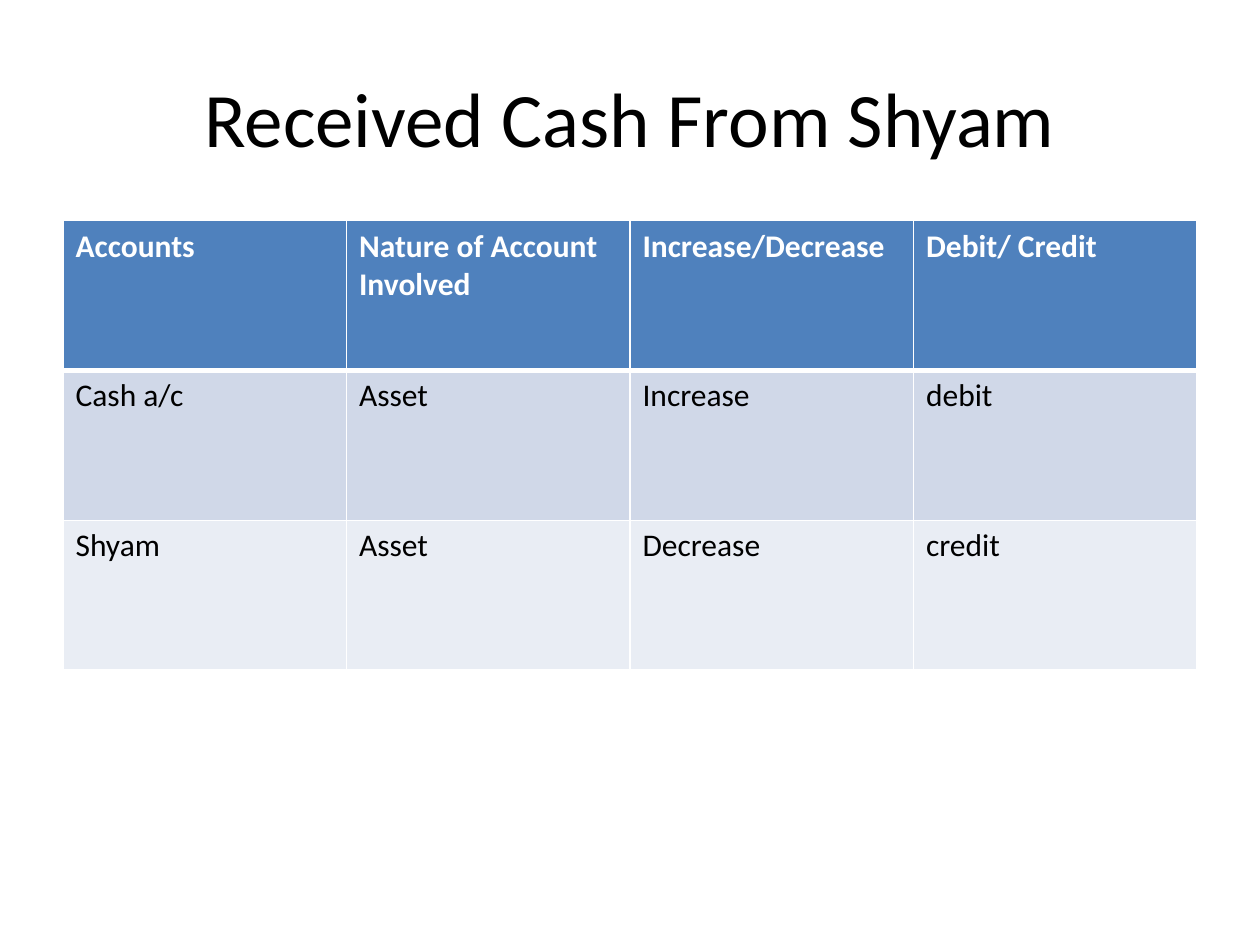
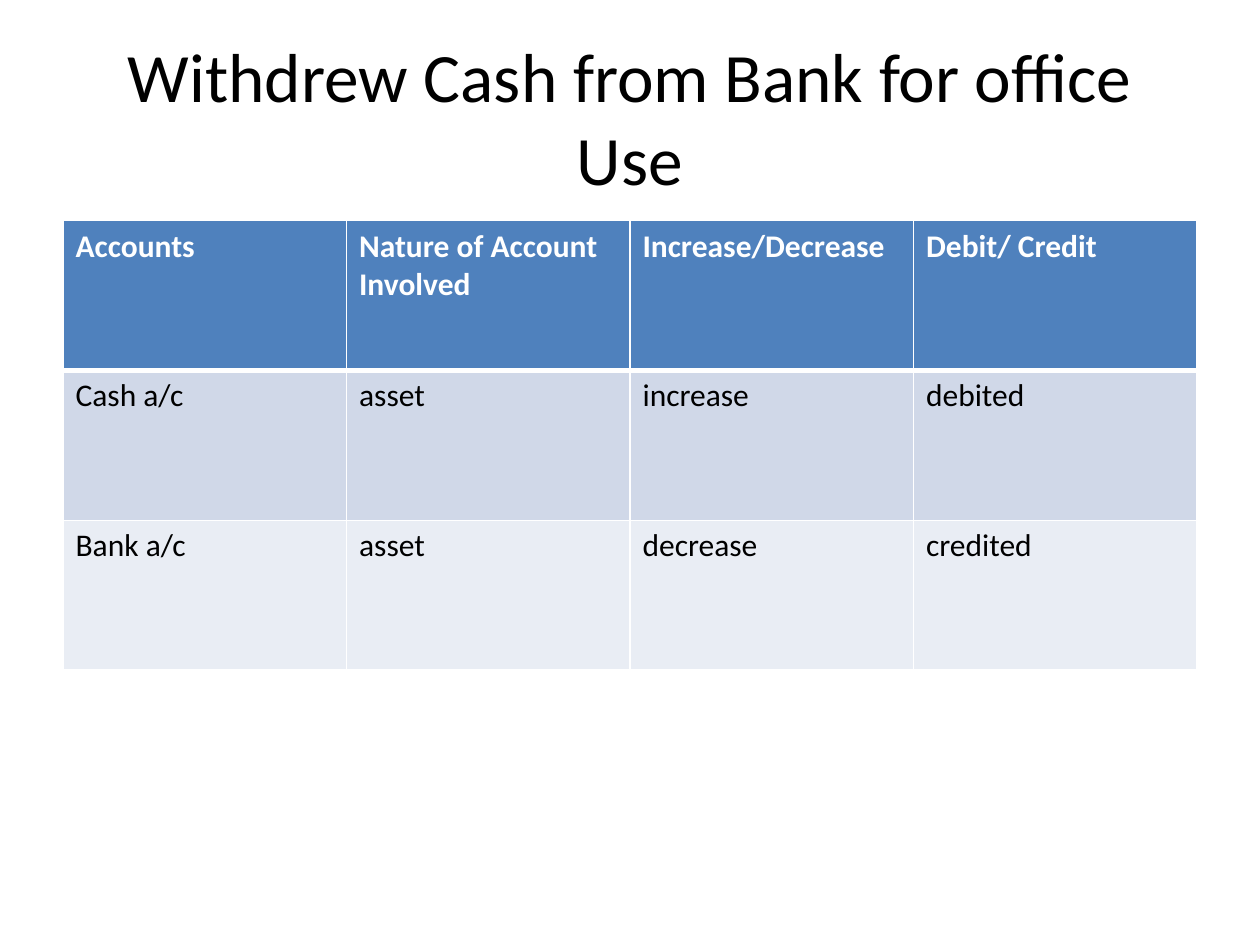
from dataclasses import dataclass

from lxml import etree
from pptx import Presentation
from pptx.dml.color import RGBColor
from pptx.enum.text import MSO_ANCHOR, MSO_AUTO_SIZE, PP_ALIGN
from pptx.oxml.ns import qn
from pptx.util import Cm, Pt

CENTER = PP_ALIGN.CENTER
MIDDLE = MSO_ANCHOR.MIDDLE
NO_AUTOFIT = MSO_AUTO_SIZE.NONE
TITLE_ONLY = 5


@dataclass(frozen=True)
class Theme:
    font: str = "Calibri"
    title_size: float = 44
    long_title_size: float = 39.6
    table_size: float = 18
    text: str = "000000"
    header_text: str = "FFFFFF"
    header_fill: str = "4F81BD"
    row_fills: tuple = ("D0D8E8", "E9EDF4")
    rule: str = "FFFFFF"
    thin_rule: float = 1
    header_rule: float = 3


THEME = Theme()
LEFT, WIDTH = Cm(1.27), Cm(22.86)
TITLE_TOP, TITLE_HEIGHT = Cm(0.76), Cm(3.18)
TABLE_TOP, ROW_HEIGHT = Cm(4.45), Cm(3.02)

HEADINGS = ("Accounts", "Nature of Account Involved", "Increase/Decrease", "Debit/ Credit")
TRANSACTIONS = (
    ("Received Cash From Shyam", THEME.title_size, (
        ("Cash a/c", "Asset", "Increase", "debit"),
        ("Shyam", "Asset", "Decrease", "credit"),
    )),
    ("Withdrew Cash from Bank for office Use", THEME.long_title_size, (
        ("Cash a/c", "asset", "increase", "debited"),
        ("Bank a/c", "asset", "decrease", "credited"),
    )),
)


def set_font(paragraph, size, color, bold=False):
    font = paragraph.font
    font.name = THEME.font
    font.size = Pt(size)
    font.bold = bold
    font.color.rgb = RGBColor.from_string(color)


def add_title(slide, wording, size):
    title = slide.shapes.title
    title.left, title.top, title.width, title.height = LEFT, TITLE_TOP, WIDTH, TITLE_HEIGHT
    frame = title.text_frame
    frame.text = wording
    frame.auto_size = NO_AUTOFIT
    frame.word_wrap = True
    frame.vertical_anchor = MIDDLE
    paragraph = frame.paragraphs[0]
    paragraph.alignment = CENTER
    set_font(paragraph, size, THEME.text)


def set_borders(cell, top, bottom):
    """Rule all four sides; must run before the fill, which follows in the XML."""
    properties = cell._tc.get_or_add_tcPr()
    sides = (("L", THEME.thin_rule), ("R", THEME.thin_rule), ("T", top), ("B", bottom))
    for side, width in sides:
        line = etree.SubElement(properties, qn(f"a:ln{side}"), w=str(Pt(width)))
        fill = etree.SubElement(line, qn("a:solidFill"))
        etree.SubElement(fill, qn("a:srgbClr"), val=THEME.rule)


def format_cell(cell, row):
    is_header = row == 0
    set_borders(
        cell,
        top=THEME.header_rule if row == 1 else THEME.thin_rule,
        bottom=THEME.header_rule if is_header else THEME.thin_rule,
    )
    fill = THEME.header_fill if is_header else THEME.row_fills[(row - 1) % 2]
    cell.fill.solid()
    cell.fill.fore_color.rgb = RGBColor.from_string(fill)
    color = THEME.header_text if is_header else THEME.text
    set_font(cell.text_frame.paragraphs[0], THEME.table_size, color, is_header)


def add_accounts_table(slide, entries):
    rows = (HEADINGS, *entries)
    table = slide.shapes.add_table(
        len(rows), len(HEADINGS), LEFT, TABLE_TOP, WIDTH, ROW_HEIGHT * len(rows)
    ).table
    for row, values in enumerate(rows):
        for column, value in enumerate(values):
            cell = table.cell(row, column)
            cell.text = value
            format_cell(cell, row)


def main():
    deck = Presentation()
    deck.slide_width, deck.slide_height = Cm(25.4), Cm(19.05)
    for title, title_size, entries in TRANSACTIONS:
        slide = deck.slides.add_slide(deck.slide_layouts[TITLE_ONLY])
        add_title(slide, title, title_size)
        add_accounts_table(slide, entries)
    deck.save("out.pptx")


if __name__ == "__main__":
    main()
